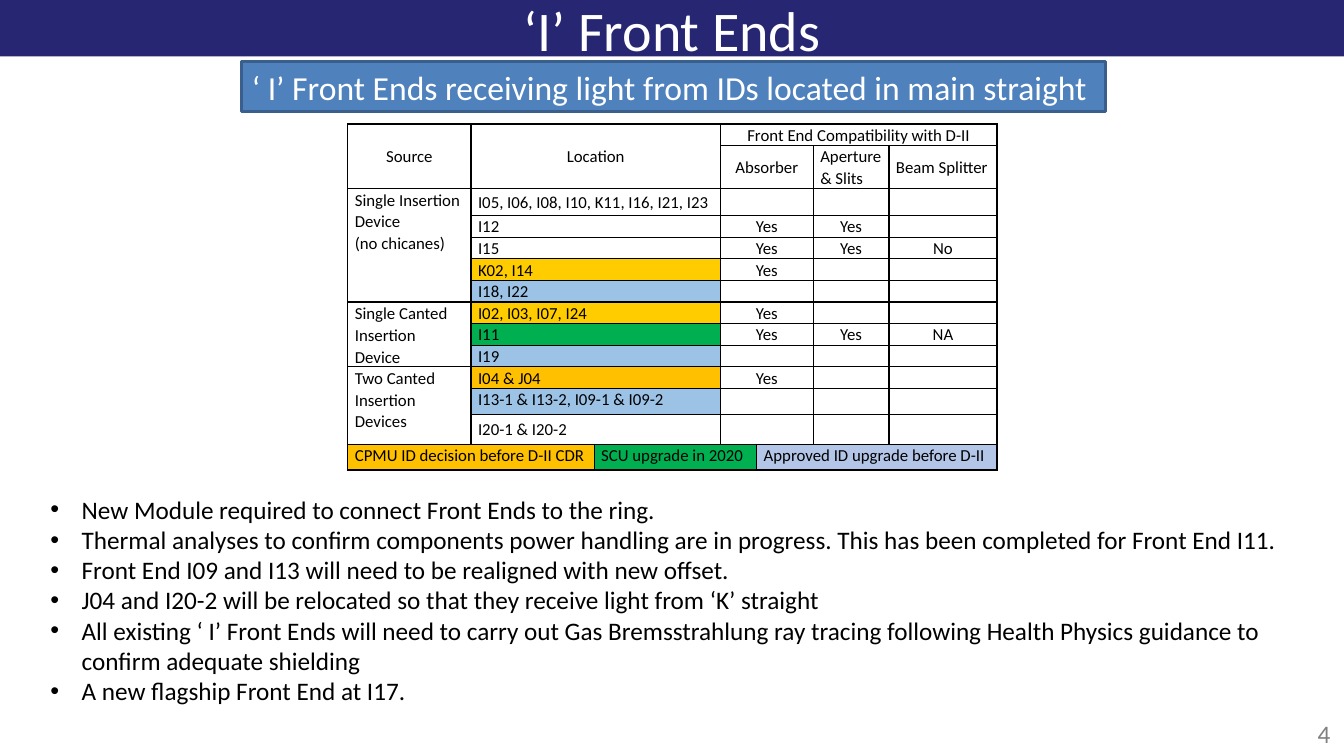
import pptx
import pptx.util
import pptx.dml.color
import pptx.enum.shapes
import pptx.enum.text
import lxml.etree
from dataclasses import dataclass

TITLE = "‘I’ Front Ends"
BANNER = "‘ I’ Front Ends receiving light from IDs located in main straight"
PAGE = "4"
POINTS = [
    "New Module required to connect Front Ends to the ring.",
    "Thermal analyses to confirm components power handling are in progress. "
    "This has been completed for Front End I11.",
    "Front End I09 and I13 will need to be realigned with new offset.",
    "J04 and I20-2 will be relocated so that they receive light from ‘K’ straight",
    "All existing ‘ I’ Front Ends will need to carry out Gas Bremsstrahlung ray tracing "
    "following Health Physics guidance to confirm adequate shielding",
    "A new flagship Front End at I17.",
]
HEADINGS = [
    ("Source", 0, 0, 2, 1, "center", "middle"),
    ("Location", 0, 1, 2, 2, "center", "middle"),
    ("Front End Compatibility with D-II", 0, 3, 1, 4, "center", "top"),
    ("Absorber", 1, 3, 1, 2, "center", "middle"),
    ("Aperture & Slits", 1, 5, 1, 1, "left", "top"),
    ("Beam Splitter", 1, 6, 1, 1, "left", "middle"),
]
SOURCES = [
    ("Single Insertion Device\n(no chicanes)", [
        ("I05, I06, I08, I10, K11, I16, I21, I23", None, "", "", "", "middle"),
        ("I12", None, "Yes", "Yes", "", "top"),
        ("I15", None, "Yes", "Yes", "No", "top"),
        ("K02, I14", "yellow", "Yes", "", "", "top"),
        ("I18, I22", "blue", "", "", "", "top"),
    ]),
    ("Single Canted Insertion Device", [
        ("I02, I03, I07, I24", "yellow", "Yes", "", "", "top"),
        ("I11", "green", "Yes", "Yes", "NA", "top"),
        ("I19", "blue", "", "", "", "top"),
    ]),
    ("Two Canted Insertion Devices", [
        ("I04 & J04", "amber", "Yes", "", "", "top"),
        ("I13-1 & I13-2, I09-1 & I09-2", "blue", "", "", "", "top"),
        ("I20-1 & I20-2", None, "", "", "", "middle"),
    ]),
]
LEGEND = [
    ("CPMU ID decision before D-II CDR", "amber", 0, 2),
    ("SCU upgrade in 2020", "green", 2, 2),
    ("Approved ID upgrade before D-II", "lilac", 4, 3),
]

SLIDE = (13.33, 7.5)
PLACES = {
    "bar": (0, 0, 100, 7.47),
    "title": (1.95, -1.47, 96.1, 10.53),
    "page": (97.3, 94.4, 3.53, 5.6),
    "banner": (18, 8.13, 64.29, 6.67),
    "table": (25.88, 16.4, 48.31, 45.7),
    "points": (3, 64.67, 94.3, 29.6),
}
COLUMN_SHARES = [1.22, 1.22, 1.25, 0.36, 0.56, 0.75, 1.07]
ROW_SHARES = [1, 2, 1.25] + [1] * 8 + [1.2, 1.4, 1.2]


@dataclass(frozen=True)
class Theme:
    font = "Calibri"
    sizes = {"title": 40, "banner": 24, "points": 18, "page": 18, "table": 12}
    colors = {
        "navy": "262673", "banner": "4F81BD", "edge": "3A5F8C", "white": "FFFFFF",
        "black": "000000", "grey": "808080", "yellow": "FFCC00", "amber": "FFC000",
        "green": "00B050", "blue": "9CC2E5", "lilac": "B4C6E7",
    }
    cell_margins = (0.07, 0)
    cell_spacing = 1.07
    hanging = 0.31


THEME = Theme()
ALIGN = {"left": pptx.enum.text.PP_ALIGN.LEFT, "center": pptx.enum.text.PP_ALIGN.CENTER}
ANCHOR = {"top": pptx.enum.text.MSO_ANCHOR.TOP, "middle": pptx.enum.text.MSO_ANCHOR.MIDDLE}
RECTANGLE = pptx.enum.shapes.MSO_SHAPE.RECTANGLE
INCH = pptx.util.Inches


def color(name):
    return pptx.dml.color.RGBColor.from_string(THEME.colors[name])


def apply(target, **values):
    for key, value in values.items():
        setattr(target, key, value)


def box(part):
    x, y, width, height = PLACES[part]
    return [INCH(share * SLIDE[axis] / 100)
            for axis, share in ((0, x), (1, y), (0, width), (1, height))]


def place(item, part):
    apply(item, **dict(zip(("left", "top", "width", "height"), box(part))))


def write(paragraph, text, size, ink, align="left", **layout):
    apply(paragraph, text=text, alignment=ALIGN[align], **layout)
    for run in paragraph.runs:
        apply(run.font, name=THEME.font, size=pptx.util.Pt(THEME.sizes[size]))
        run.font.color.rgb = color(ink)


def panel(slide, part, fill):
    shape = slide.shapes.add_shape(RECTANGLE, *box(part))
    shape.shadow.inherit = False
    shape.fill.solid()
    shape.fill.fore_color.rgb = color(fill)
    shape.line.fill.background()
    return shape


def add_borders(cell):
    properties = cell._tc.get_or_add_tcPr()
    space = "{%s}" % properties.nsmap["a"]
    for side in ("lnL", "lnR", "lnT", "lnB"):
        edge = lxml.etree.SubElement(properties, space + side, w=str(pptx.util.Pt(1)))
        fill = lxml.etree.SubElement(edge, space + "solidFill")
        lxml.etree.SubElement(fill, space + "srgbClr", val=THEME.colors["black"])


def prepare_cell(cell):
    across, down = map(INCH, THEME.cell_margins)
    apply(cell, margin_left=across, margin_right=across, margin_top=down, margin_bottom=down)
    add_borders(cell)
    cell.fill.background()
    paragraph = cell.text_frame.paragraphs[0]._p
    lxml.etree.SubElement(paragraph, "{%s}endParaRPr" % paragraph.nsmap["a"],
                          sz=str(THEME.sizes["table"] * 100))


def fill_cell(table, text, row, column, rows=1, columns=1,
              align="left", anchor="top", fill=None):
    cell = table.cell(row, column)
    if rows * columns > 1:
        cell.merge(table.cell(row + rows - 1, column + columns - 1))
    cell.vertical_anchor = ANCHOR[anchor]
    if fill:
        cell.fill.solid()
        cell.fill.fore_color.rgb = color(fill)
    if text:
        write(cell.text_frame.paragraphs[0], text, "table", "black", align,
              line_spacing=THEME.cell_spacing)


def add_compatibility(slide):
    left, top, width, height = box("table")
    table = slide.shapes.add_table(len(ROW_SHARES), len(COLUMN_SHARES),
                                   left, top, width, height).table
    apply(table, first_row=False, horz_banding=False)
    for column, share in zip(table.columns, COLUMN_SHARES):
        column.width = int(width * share / sum(COLUMN_SHARES))
    for row, share in zip(table.rows, ROW_SHARES):
        row.height = int(height * share / sum(ROW_SHARES))
    for cell in table.iter_cells():
        prepare_cell(cell)
    for heading in HEADINGS:
        fill_cell(table, *heading)
    row = 2
    for source, locations in SOURCES:
        fill_cell(table, source, row, 0, len(locations))
        for location, fill, absorber, aperture, splitter, anchor in locations:
            fill_cell(table, location, row, 1, 1, 2, anchor=anchor, fill=fill)
            fill_cell(table, absorber, row, 3, 1, 2, "center")
            fill_cell(table, aperture, row, 5, align="center")
            fill_cell(table, splitter, row, 6, align="center")
            row += 1
    for text, fill, column, columns in LEGEND:
        fill_cell(table, text, row, column, 1, columns, fill=fill)


def add_points(body):
    place(body, "points")
    frame = body.text_frame
    apply(frame, word_wrap=True, auto_size=pptx.enum.text.MSO_AUTO_SIZE.NONE)
    for index, point in enumerate(POINTS):
        paragraph = frame.add_paragraph() if index else frame.paragraphs[0]
        write(paragraph, point, "points", "black", space_before=pptx.util.Pt(0))
        indent = INCH(THEME.hanging)
        properties = paragraph._p.get_or_add_pPr()
        properties.set("marL", str(indent))
        properties.set("indent", str(-indent))


def main():
    deck = pptx.Presentation()
    apply(deck, slide_width=INCH(SLIDE[0]), slide_height=INCH(SLIDE[1]))
    slide = deck.slides.add_slide(deck.slide_layouts[1])
    title, body = slide.placeholders

    bar = panel(slide, "bar", "navy")
    title._element.addprevious(bar._element)
    place(title, "title")
    apply(title.text_frame, vertical_anchor=ANCHOR["middle"],
          auto_size=pptx.enum.text.MSO_AUTO_SIZE.NONE)
    write(title.text_frame.paragraphs[0], TITLE, "title", "white", "center")

    page = slide.shapes.add_textbox(*box("page"))
    page.text_frame.word_wrap = True
    write(page.text_frame.paragraphs[0], PAGE, "page", "grey")

    banner = panel(slide, "banner", "banner")
    banner.line.color.rgb = color("edge")
    banner.line.width = pptx.util.Pt(2)
    apply(banner.text_frame, word_wrap=True, vertical_anchor=ANCHOR["middle"])
    write(banner.text_frame.paragraphs[0], BANNER, "banner", "white")

    add_compatibility(slide)
    add_points(body)
    deck.save("out.pptx")


if __name__ == "__main__":
    main()
